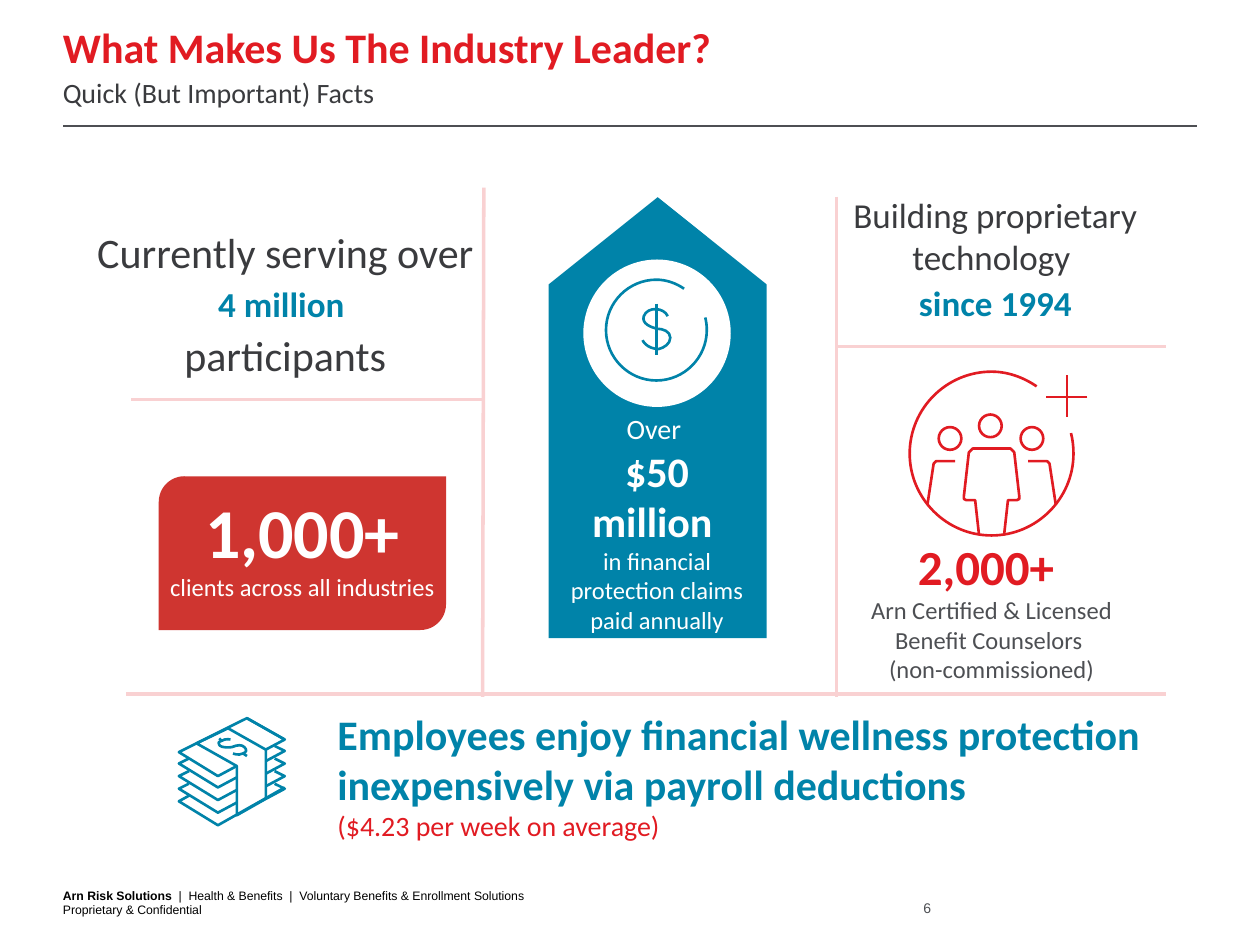
from dataclasses import dataclass

from lxml import etree
from pptx import Presentation
from pptx.dml.color import RGBColor
from pptx.enum.shapes import MSO_CONNECTOR, MSO_SHAPE
from pptx.enum.text import MSO_ANCHOR, PP_ALIGN
from pptx.oxml.ns import qn
from pptx.util import Inches, Pt

STRAIGHT = MSO_CONNECTOR.STRAIGHT
ELLIPSE, ARROW = MSO_SHAPE.OVAL, MSO_SHAPE.PENTAGON
BADGE = MSO_SHAPE.ROUND_2_DIAG_RECTANGLE
TOP, MIDDLE, BOTTOM = MSO_ANCHOR.TOP, MSO_ANCHOR.MIDDLE, MSO_ANCHOR.BOTTOM
LEFT, CENTER, RIGHT = PP_ALIGN.LEFT, PP_ALIGN.CENTER, PP_ALIGN.RIGHT

Point = tuple[float, float]


@dataclass(frozen=True)
class Theme:
    red: str = "E11B22"
    badge: str = "CF3530"
    blue: str = "0083A9"
    pink: str = "F9D1D2"
    dark: str = "3A3B3E"
    grey: str = "4D4F53"
    white: str = "FFFFFF"
    black: str = "000000"
    body_font: str = "Calibri"
    footer_font: str = "Arial"
    figure: int = 40
    number: int = 28
    heading: int = 24
    lead: int = 20
    note: int = 16
    label: int = 14
    page_number: int = 8
    footer: int = 7
    icon_line: float = 1.5
    divider: float = 2
    rule: float = 0.75


THEME = Theme()


@dataclass(frozen=True)
class Span:
    text: str
    size: int
    color: str
    bold: bool = False
    font: str = THEME.body_font


@dataclass(frozen=True)
class Para:
    spans: tuple[Span, ...]
    align: PP_ALIGN = CENTER
    spacing: float | Pt | None = None
    before: float = 0


@dataclass(frozen=True)
class TextBox:
    area: tuple[float, float, float, float]
    paras: tuple[Para, ...]
    anchor: MSO_ANCHOR = TOP
    margins: tuple[float, float] = (0.1, 0.05)


def line_of(text: str, size: int, color: str, bold: bool = False, **options) -> Para:
    return Para((Span(text, size, color, bold),), **options)


def style_font(font, span: Span) -> None:
    font.name, font.size, font.bold = span.font, Pt(span.size), span.bold
    font.color.rgb = RGBColor.from_string(span.color)


def write_text(frame, paras, anchor: MSO_ANCHOR, margins: tuple[float, float]) -> None:
    frame.word_wrap = True
    frame.vertical_anchor = anchor
    frame.margin_left = frame.margin_right = Inches(margins[0])
    frame.margin_top = frame.margin_bottom = Inches(margins[1])
    for index, para in enumerate(paras):
        paragraph = frame.add_paragraph() if index else frame.paragraphs[0]
        paragraph.alignment = para.align
        if para.spacing:
            paragraph.line_spacing = para.spacing
        if para.before:
            paragraph.space_before = Pt(para.before)
        style_font(paragraph.font, para.spans[-1])
        for span in para.spans:
            for number, part in enumerate(span.text.split("\n")):
                if number:
                    paragraph.add_line_break()
                if part:
                    run = paragraph.add_run()
                    run.text = part
                    if len(para.spans) > 1:
                        style_font(run.font, span)


def add_text(shapes, box: TextBox) -> None:
    shape = shapes.add_textbox(*map(Inches, box.area))
    write_text(shape.text_frame, box.paras, box.anchor, box.margins)


def add_line(shapes, start: Point, end: Point, color: str, width: float = THEME.icon_line) -> None:
    line = shapes.add_connector(STRAIGHT, *map(Inches, start + end))
    line.line.color.rgb = RGBColor.from_string(color)
    line.line.width = Pt(width)
    etree.SubElement(line._element.spPr, qn("a:effectLst"))


def outline(shape, color: str) -> None:
    shape.shadow.inherit = False
    shape.fill.background()
    shape.line.color.rgb = RGBColor.from_string(color)
    shape.line.width = Pt(THEME.icon_line)


def add_filled(shapes, kind, area, color: str):
    shape = shapes.add_shape(kind, *map(Inches, area))
    shape.shadow.inherit = False
    shape.fill.solid()
    shape.fill.fore_color.rgb = RGBColor.from_string(color)
    shape.line.fill.background()
    return shape


def add_stroke(shapes, points: list[Point], color: str):
    first, *rest = [(Inches(x), Inches(y)) for x, y in points]
    builder = shapes.build_freeform(*first)
    builder.add_line_segments(rest, close=False)
    shape = builder.convert_to_shape()
    outline(shape, color)
    return shape


def add_curve(shapes, controls: list[Point], color: str) -> None:
    """Draw a chain of cubic curves: each three points after the first make one."""
    segments = list(add_stroke(shapes, controls, color)._element.iter(qn("a:lnTo")))
    outline_element = segments[0].getparent()
    for start in range(0, len(segments), 3):
        cubic = etree.SubElement(outline_element, qn("a:cubicBezTo"))
        for segment in segments[start:start + 3]:
            cubic.append(segment[0])
            outline_element.remove(segment)


def add_open_ring(shapes, center: Point, radius: float, color: str) -> None:
    """A circle with a gap at the upper right."""
    unit = [(0.97, -0.25), (0.99, -0.17), (1, -0.09), (1, 0), (1, 0.55), (0.55, 1), (0, 1),
            (-0.55, 1), (-1, 0.55), (-1, 0), (-1, -0.55), (-0.55, -1), (0, -1),
            (0.2, -1), (0.39, -0.93), (0.55, -0.82)]
    add_curve(shapes, [(center[0] + radius * x, center[1] + radius * y) for x, y in unit], color)


def draw_banknotes(shapes) -> None:
    color = THEME.blue
    strokes = [
        [(1.88, 6.08), (1.73, 6.16), (1.42, 5.97), (1.96, 5.7), (2.26, 5.87), (2.11, 5.95)],
        [(2.26, 6.25), (1.73, 6.55), (1.42, 6.36), (1.51, 6.31)],
        [(1.56, 5.9), (1.88, 6.08), (1.88, 6.47), (2.11, 6.34), (2.11, 5.95), (1.81, 5.78), (1.56, 5.9)],
    ]
    for layer in range(4):
        drop = 0.1 * layer
        strokes.append([(x, y + drop) for x, y in ((2.18, 5.92), (2.26, 5.96), (2.11, 6.04))])
        if layer < 3:
            strokes.append([(x, y + drop) for x, y in ((1.88, 6.17), (1.73, 6.25), (1.42, 6.06), (1.5, 6.02))])
    for points in strokes:
        add_stroke(shapes, points, color)
    for start, end in (((1.96, 5.7), (2.26, 5.87)), ((1.93, 5.98), (1.96, 6)), ((1.74, 5.86), (1.76, 5.88))):
        add_line(shapes, start, end, color)
    add_curve(shapes, [
        (1.83, 5.87), (1.83, 5.87), (1.79, 5.86), (1.76, 5.88), (1.73, 5.89), (1.73, 5.9), (1.74, 5.91),
        (1.74, 5.92), (1.77, 5.94), (1.84, 5.93), (1.89, 5.91), (1.92, 5.91), (1.94, 5.93),
        (1.96, 5.95), (1.96, 5.97), (1.93, 5.98), (1.89, 6), (1.85, 5.98), (1.85, 5.98)], color)


def draw_coin(shapes) -> None:
    add_open_ring(shapes, (5.21, 2.62), 0.4, THEME.blue)
    add_curve(shapes, [
        (5.3, 2.51), (5.27, 2.44), (5.14, 2.43), (5.11, 2.51), (5.09, 2.57), (5.17, 2.6), (5.22, 2.61),
        (5.26, 2.61), (5.32, 2.63), (5.32, 2.68), (5.32, 2.73), (5.27, 2.76), (5.23, 2.77),
        (5.13, 2.77), (5.1, 2.7), (5.1, 2.7)], THEME.blue)
    add_line(shapes, (5.21, 2.41), (5.21, 2.82), THEME.blue)


def draw_team(shapes) -> None:
    color, middle = THEME.red, 7.87
    add_open_ring(shapes, (middle, 3.6), 0.65, color)
    add_line(shapes, (8.47, 2.98), (8.47, 3.31), color)
    add_line(shapes, (8.63, 3.15), (8.3, 3.15), color)
    half_body = [(7.77, 4.24), (7.74, 3.97), (7.67, 3.97), (7.65, 3.96), (7.65, 3.94), (7.69, 3.59), (7.72, 3.56)]
    shoulder = [(7.36, 4.01), (7.41, 3.68), (7.43, 3.66), (7.58, 3.66)]
    mirrored_body, mirrored_shoulder = (
        [(2 * middle - x, y) for x, y in half] for half in (half_body, shoulder))
    for points in (half_body + mirrored_body[::-1], shoulder, mirrored_shoulder):
        add_stroke(shapes, points, color)
    for left, top in ((7.45, 3.39), (7.77, 3.29), (8.1, 3.39)):
        outline(shapes.add_shape(ELLIPSE, *map(Inches, (left, top, 0.18, 0.18))), color)


T = THEME
TEXTS = (
    # Header
    TextBox((0.5, 0.33, 9, 0.24), (line_of("What Makes Us The Industry Leader?", T.heading, T.red, True, align=LEFT),),
            BOTTOM, (0, 0)),
    TextBox((0.4, 0.55, 9, 0.24), (line_of("Quick (But Important) Facts", T.note, T.dark, align=LEFT),)),
    # Facts
    TextBox((0.43, 1.97, 3.67, 1), (
        line_of("Currently serving over", T.heading, T.dark, spacing=Pt(13)),
        line_of("4 million ", T.lead, T.blue, True, spacing=Pt(27)),
        line_of("participants", T.heading, T.dark, spacing=1.1))),
    TextBox((4.35, 3.58, 1.73, 1.14), (
        line_of("Over ", T.note, T.white),
        Para((Span("$50 million \n", T.heading, T.white, True),
              Span("in financial protection claims paid annually", T.label, T.white)))), MIDDLE),
    TextBox((6.75, 4.27, 2.24, 1.14), (
        line_of("2,000+ ", T.number, T.red, True),
        line_of("Arn Certified & Licensed Benefit Counselors \n(non-commissioned)", T.label, T.grey)), MIDDLE),
    TextBox((6.4, 1.49, 3, 1.14), (
        line_of("Building proprietary technology ", T.lead, T.dark),
        line_of("since 1994", T.lead, T.blue, True, spacing=Pt(13), before=13))),
    TextBox((2.58, 5.57, 7.49, 1.18), (
        line_of("Employees enjoy financial wellness protection inexpensively via payroll deductions",
                T.heading, T.blue, True, align=LEFT),
        line_of("($4.23 per week on average)", T.note, T.red, align=LEFT))),
    # Footer
    TextBox((0.5, 7.04, 6.6, 0.24), (Para((
        Span("Arn Risk Solutions  ", T.footer, T.black, True, T.footer_font),
        Span("|  Health & Benefits  |  Voluntary Benefits & Enrollment Solutions\nProprietary & Confidential",
             T.footer, T.black, False, T.footer_font)), LEFT),), BOTTOM, (0, 0)),
    TextBox((7, 7.14, 0.39, 0.13), (Para((Span("6", T.page_number, T.grey, False, T.footer_font),), RIGHT),),
            BOTTOM, (0, 0)),
)
DIVIDERS = (((3.84, 1.49), (3.83, 5.53)), ((6.64, 1.56), (6.64, 5.53)), ((1, 5.51), (9.25, 5.51)),
            ((1.04, 3.17), (3.84, 3.17)), ((6.64, 2.75), (9.25, 2.75)))


def main() -> None:
    deck = Presentation()
    deck.slide_width, deck.slide_height = Inches(10), Inches(7.5)
    shapes = deck.slides.add_slide(deck.slide_layouts[6]).shapes

    # Rules and dividers
    add_line(shapes, (0.5, 1), (9.5, 1), T.grey, T.rule)
    for start, end in DIVIDERS:
        add_line(shapes, start, end, T.pink, T.divider)

    # Filled shapes
    badge = add_filled(shapes, BADGE, (1.26, 3.78, 2.28, 1.22), T.badge)
    write_text(badge.text_frame, (
        line_of("1,000+", T.figure, T.white, True, spacing=0.8),
        line_of("clients across all industries", T.label, T.white)), MIDDLE, (0, 0.05))
    arrow = add_filled(shapes, ARROW, (3.47, 2.45, 3.5, 1.73), T.blue)
    arrow.rotation = 270
    arrow.adjustments[0] = 0.4
    add_filled(shapes, ELLIPSE, (4.63, 2.06, 1.17, 1.17), T.white)

    # Icons and text
    for draw in (draw_banknotes, draw_coin, draw_team):
        draw(shapes.add_group_shape().shapes)
    for box in TEXTS:
        add_text(shapes, box)

    deck.save("out.pptx")


if __name__ == "__main__":
    main()
